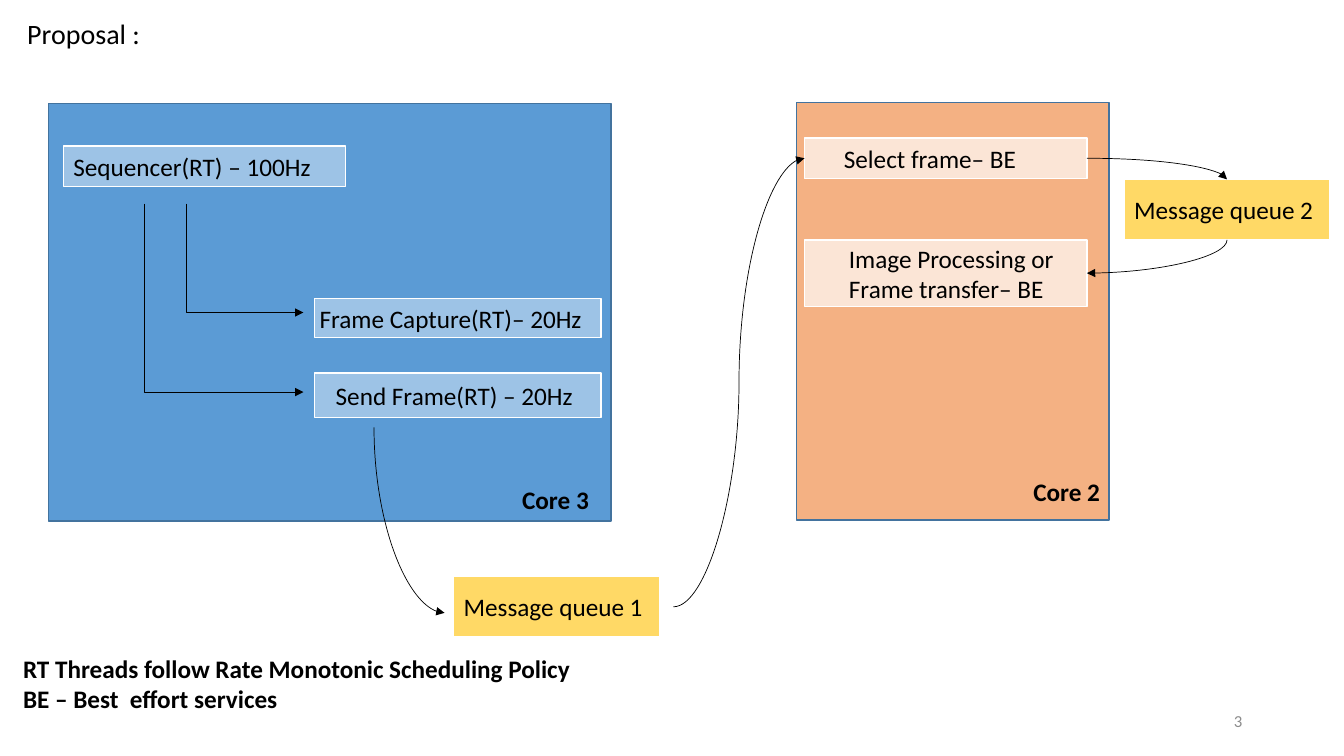
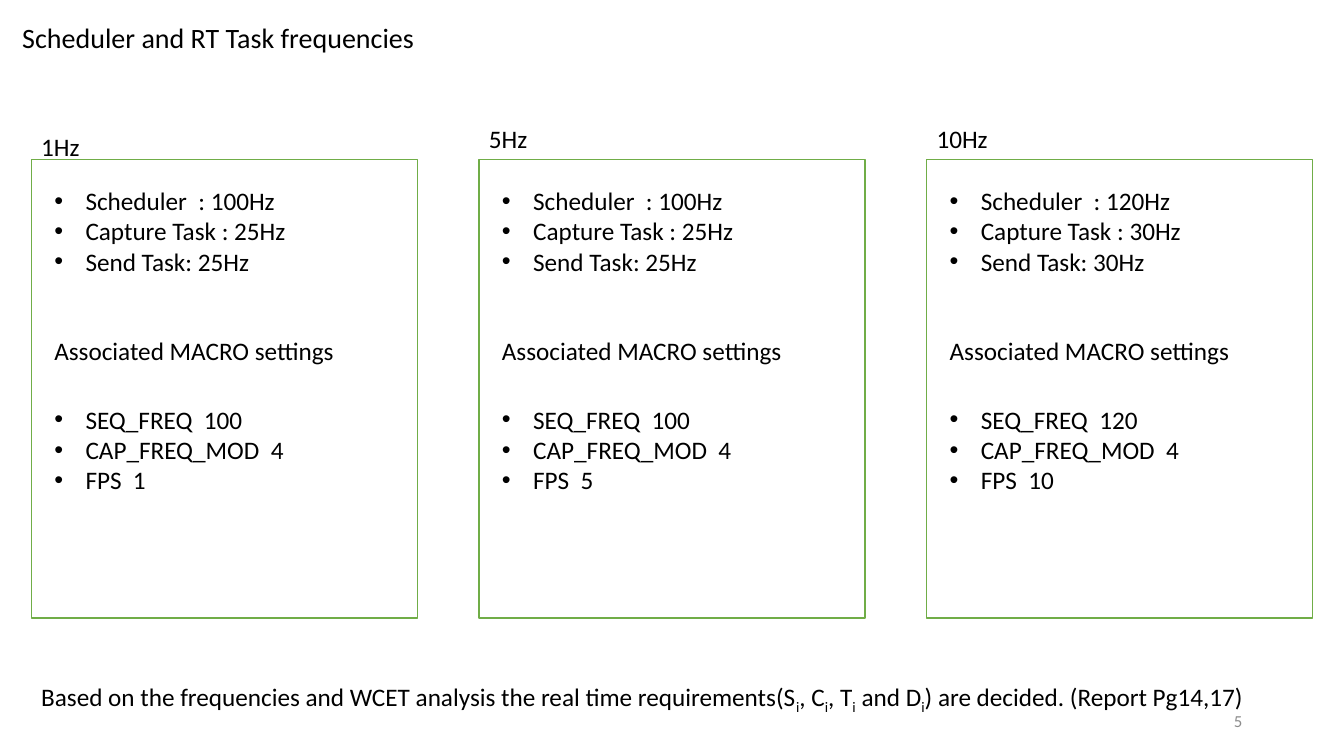
from lxml import etree
from pptx import Presentation
from pptx.dml.color import RGBColor
from pptx.enum.shapes import MSO_CONNECTOR as LINK, MSO_SHAPE
from pptx.enum.text import MSO_ANCHOR as ANCHOR, MSO_AUTO_SIZE, PP_ALIGN as ALIGN
from pptx.oxml.ns import qn
from pptx.util import Pt

PX = 9144  # 100 px to the inch
FONT = "Calibri"
BLACK = RGBColor(0x00, 0x00, 0x00)
WHITE = RGBColor(0xFF, 0xFF, 0xFF)
GREY = RGBColor(0x8C, 0x8C, 0x8C)
BLUE = RGBColor(0x5B, 0x9B, 0xD5)
LIGHT_BLUE = RGBColor(0x9D, 0xC3, 0xE6)
DARK_BLUE = RGBColor(0x43, 0x73, 0x9E)
ORANGE = RGBColor(0xF4, 0xB1, 0x83)
LIGHT_ORANGE = RGBColor(0xFB, 0xE5, 0xD6)
YELLOW = RGBColor(0xFF, 0xD9, 0x66)
GREEN = RGBColor(0x70, 0xAD, 0x47)
TOP, RIGHT, BOTTOM, LEFT = 0, 3, 2, 1  # connection sites of a rectangle


def put(slide, area, *lines, shape=None, fill=None, edge=WHITE, size=18, bold=False,
        color=BLACK, align=ALIGN.LEFT, anchor=ANCHOR.TOP, inset=10, bullet=False):
    """Write lines into a placeholder, a filled box or a text box; |x| is a subscript."""
    left, top, width, height = (value * PX for value in area)
    if shape is not None:
        shape.left, shape.top, shape.width, shape.height = left, top, width, height
    elif fill is not None:
        shape = slide.shapes.add_shape(MSO_SHAPE.RECTANGLE, left, top, width, height)
        shape.shadow.inherit = False
        shape.fill.solid()
        shape.fill.fore_color.rgb = fill
        shape.line.color.rgb = edge
        shape.line.width = Pt(1)
    else:
        shape = slide.shapes.add_textbox(left, top, width, height)
    frame = shape.text_frame
    frame.word_wrap = True
    frame.auto_size = MSO_AUTO_SIZE.NONE
    frame.vertical_anchor = anchor
    frame.margin_left = inset * PX
    frame.margin_right = 0 if fill is not None else 10 * PX
    frame.margin_top = frame.margin_bottom = 0 if fill is not None else 5 * PX
    for number, line in enumerate(lines):
        para = frame.add_paragraph() if number else frame.paragraphs[0]
        para.alignment = align
        if bullet:
            props = para._p.get_or_add_pPr()
            props.set("marL", str(31 * PX))
            props.set("indent", str(-31 * PX))
            etree.SubElement(props, qn("a:buFont")).set("typeface", "Arial")
            etree.SubElement(props, qn("a:buChar")).set("char", "•")
        for position, text in enumerate(line.split("|")):
            span = para.add_run()
            span.text = text
            span.font.name, span.font.size = FONT, Pt(size)
            span.font.bold, span.font.color.rgb = bold, color
            if position % 2:
                span._r.get_or_add_rPr().set("baseline", "-25000")
    return shape


def link(slide, kind, start, end, preset=None, bend=None, downward=False,
         source=None, target=None):
    """Draw an arrow; source and target are (shape, site); downward leaves vertically."""
    arrow = slide.shapes.add_connector(kind, *(value * PX for value in start + end))
    if source:
        arrow.begin_connect(*source)
    if target:
        arrow.end_connect(*target)
    arrow.line.color.rgb = BLACK
    arrow.line.width = Pt(0.5)
    etree.SubElement(arrow.line._get_or_add_ln(), qn("a:tailEnd")).set("type", "triangle")
    props = arrow._element.spPr
    etree.SubElement(props, qn("a:effectLst"))
    geometry = props.find(qn("a:prstGeom"))
    if preset:
        geometry.set("prst", preset)
    if bend is not None:
        guide = etree.SubElement(geometry.find(qn("a:avLst")), qn("a:gd"))
        guide.set("name", "adj1")
        guide.set("fmla", f"val {bend}")
    if downward:
        rightward = end[0] > start[0]
        shift = (arrow.width - arrow.height) // 2
        arrow.left, arrow.top = arrow.left + shift, arrow.top - shift
        arrow.width, arrow.height = arrow.height, arrow.width
        frame = props.find(qn("a:xfrm"))
        frame.set("rot", str((270 if rightward else 90) * 60000))
        frame.set("flipH", "1" if rightward else "0")
        frame.set("flipV", "0")


deck = Presentation()
deck.slide_width, deck.slide_height = 1333 * PX, 750 * PX
pages = []
for title, left, top, number in (("Proposal :", 17, 11, "3"),
                                 ("Scheduler and RT Task frequencies", 12, 15, "5")):
    page = deck.slides.add_slide(deck.slide_layouts[5])
    put(page, (left, top, 454, 44), title, shape=page.shapes.title, size=20)
    put(page, (942, 695, 300, 40), number, size=12, color=GREY,
        align=ALIGN.RIGHT, anchor=ANCHOR.MIDDLE)
    pages.append(page)
proposal, frequencies = pages

# Proposal: two cores, their tasks and the message queues
for name, area, fill, label_left, label_top in (
        ("Core 3", (48, 103, 558, 414), BLUE, 508, 476),
        ("Core 2", (790, 102, 310, 414), ORANGE, 1015, 468)):
    put(proposal, area, fill=fill, edge=DARK_BLUE)
    put(proposal, (label_left, label_top, 169, 40), name, bold=True)

tasks = {}
for key, area, fill, inset, lines in (
        ("sequencer", (63, 145, 280, 40), LIGHT_BLUE, 10, ["Sequencer(RT) – 100Hz"]),
        ("capture", (312, 296, 284, 39), LIGHT_BLUE, 5, ["Frame Capture(RT)– 20Hz"]),
        ("send", (312, 370, 284, 44), LIGHT_BLUE, 21, ["Send Frame(RT) – 20Hz"]),
        ("select", (798, 137, 280, 40), LIGHT_ORANGE, 39, ["Select frame– BE"]),
        ("process", (798, 238, 280, 66), LIGHT_ORANGE, 44,
         ["Image Processing or", "Frame transfer– BE"]),
        ("queue 1", (450, 572, 204, 60), YELLOW, 10, ["Message queue 1"]),
        ("queue 2", (1115, 178, 204, 60), YELLOW, 10, ["Message queue 2"])):
    tasks[key] = put(proposal, area, *lines, fill=fill, inset=inset, anchor=ANCHOR.MIDDLE)

for start, end in (((185, 202), (301, 310)), ((143, 202), (301, 389))):
    link(proposal, LINK.ELBOW, start, end, bend=0)
quarter = "curvedConnector2"
link(proposal, LINK.CURVE, (371, 424), (441, 608), preset=quarter, downward=True)
link(proposal, LINK.CURVE, (668, 602), (798, 157), bend=50000,
     target=(tasks["select"], LEFT))
link(proposal, LINK.CURVE, (1078, 157), (1217, 178), preset=quarter,
     source=(tasks["select"], RIGHT), target=(tasks["queue 2"], TOP))
link(proposal, LINK.CURVE, (1217, 238), (1078, 271), preset=quarter, downward=True,
     source=(tasks["queue 2"], BOTTOM), target=(tasks["process"], RIGHT))
put(proposal, (13, 643, 589, 71), "RT Threads follow Rate Monotonic Scheduling Policy",
    "BE – Best  effort services", bold=True)

# Frequencies: one card for each frame rate
for index, (rate, label_top, scheduler, task) in enumerate((
        (1, 125, 100, 25), (5, 117, 100, 25), (10, 117, 120, 30))):
    left = 31 + index * 444
    put(frequencies, (left, 158, 383, 455), fill=WHITE, edge=GREEN)
    put(frequencies, (left, label_top, 75, 40), f"{rate}Hz")
    put(frequencies, (left + 13, 179, 354, 131), f"Scheduler  : {scheduler}Hz",
        f"Capture Task : {task}Hz", f"Send Task: {task}Hz", bullet=True)
    put(frequencies, (left + 13, 328, 354, 40), "Associated MACRO settings")
    put(frequencies, (left + 13, 396, 354, 101), f"SEQ_FREQ  {scheduler}",
        "CAP_FREQ_MOD  4", f"FPS  {rate}", bullet=True)

put(frequencies, (31, 671, 1255, 40),
    "Based on the frequencies and WCET analysis the real time requirements"
    "(S|i|, C|i|, T|i| and D|i|) are decided. (Report Pg14,17)")

deck.save("out.pptx")
